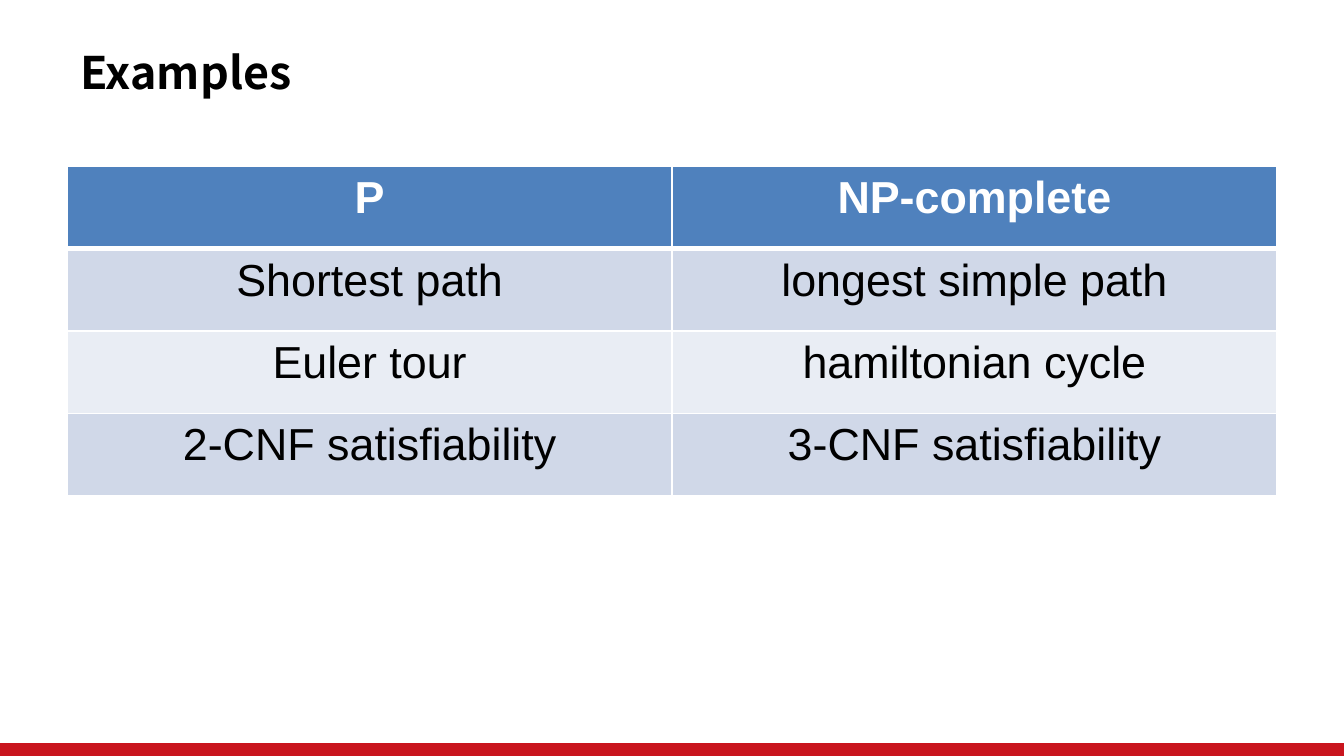
from dataclasses import dataclass

from lxml import etree
from pptx import Presentation
from pptx.dml.color import RGBColor
from pptx.enum.shapes import MSO_SHAPE
from pptx.enum.text import MSO_ANCHOR, PP_ALIGN
from pptx.oxml.ns import qn
from pptx.util import Inches, Pt

RECT = MSO_SHAPE.RECTANGLE
MIDDLE = MSO_ANCHOR.MIDDLE
LEFT, CENTER = PP_ALIGN.LEFT, PP_ALIGN.CENTER


@dataclass(frozen=True)
class Theme:
    title_font: str = "Noto Sans CJK SC"
    body_font: str = "Arial"
    size: int = 24
    black: str = "000000"
    white: str = "FFFFFF"
    red: str = "C9151E"
    header: str = "4F81BD"
    bands: tuple = ("D0D8E8", "E9EDF4")
    thin: int = 1
    thick: int = 3


THEME = Theme()
ROWS = [
    ("P", "NP-complete"),
    ("Shortest path", "longest simple path"),
    ("Euler tour", "hamiltonian cycle"),
    ("2-CNF satisﬁability", "3-CNF satisﬁability"),
]


def set_text(tf, text, font=THEME.body_font, color=THEME.black, bold=False, align=LEFT):
    p = tf.paragraphs[0]
    p.alignment = align
    r = p.add_run()
    r.text = text
    r.font.name = font
    r.font.size = Pt(THEME.size)
    r.font.bold = bold
    r.font.color.rgb = RGBColor.from_string(color)


def add_bar(slide, x, y, w, h, color):
    sp = slide.shapes.add_shape(RECT, Inches(x), Inches(y), Inches(w), Inches(h))
    sp.shadow.inherit = False
    sp.fill.solid()
    sp.fill.fore_color.rgb = RGBColor.from_string(color)
    sp.line.fill.background()


def add_title(slide, text, x, y, w, h):
    tf = slide.shapes.add_textbox(Inches(x), Inches(y), Inches(w), Inches(h)).text_frame
    tf.word_wrap = False
    tf.vertical_anchor = MIDDLE
    set_text(tf, text, font=THEME.title_font, bold=True)


def set_borders(cell, top, bottom):
    tc_pr = cell._tc.get_or_add_tcPr()
    widths = {"a:lnL": THEME.thin, "a:lnR": THEME.thin, "a:lnT": top, "a:lnB": bottom}
    for i, (tag, width) in enumerate(widths.items()):
        ln = etree.Element(qn(tag), w=str(Pt(width)))
        fill = etree.SubElement(ln, qn("a:solidFill"))
        etree.SubElement(fill, qn("a:srgbClr"), val=THEME.white)
        tc_pr.insert(i, ln)


def add_grid(slide, rows, x, y, w, h):
    table = slide.shapes.add_table(
        len(rows), len(rows[0]), Inches(x), Inches(y), Inches(w), Inches(h)
    ).table
    for i, texts in enumerate(rows):
        is_header = i == 0
        fill = THEME.header if is_header else THEME.bands[(i - 1) % 2]
        color = THEME.white if is_header else THEME.black
        top = THEME.thick if i == 1 else THEME.thin
        bottom = THEME.thick if is_header else THEME.thin
        for j, text in enumerate(texts):
            cell = table.cell(i, j)
            cell.fill.solid()
            cell.fill.fore_color.rgb = RGBColor.from_string(fill)
            set_borders(cell, top, bottom)
            set_text(cell.text_frame, text, color=color, bold=is_header, align=CENTER)


def main():
    prs = Presentation()
    prs.slide_width = Inches(10)
    prs.slide_height = prs.slide_width * 9 // 16
    slide = prs.slides.add_slide(prs.slide_layouts[6])
    add_bar(slide, 0, 5.53, 10, 0.1, THEME.red)
    add_title(slide, "Examples", 0.5, 0.29, 6.96, 0.49)
    add_grid(slide, ROWS, 0.5, 1.24, 9, 2.45)
    prs.save("out.pptx")


if __name__ == "__main__":
    main()
